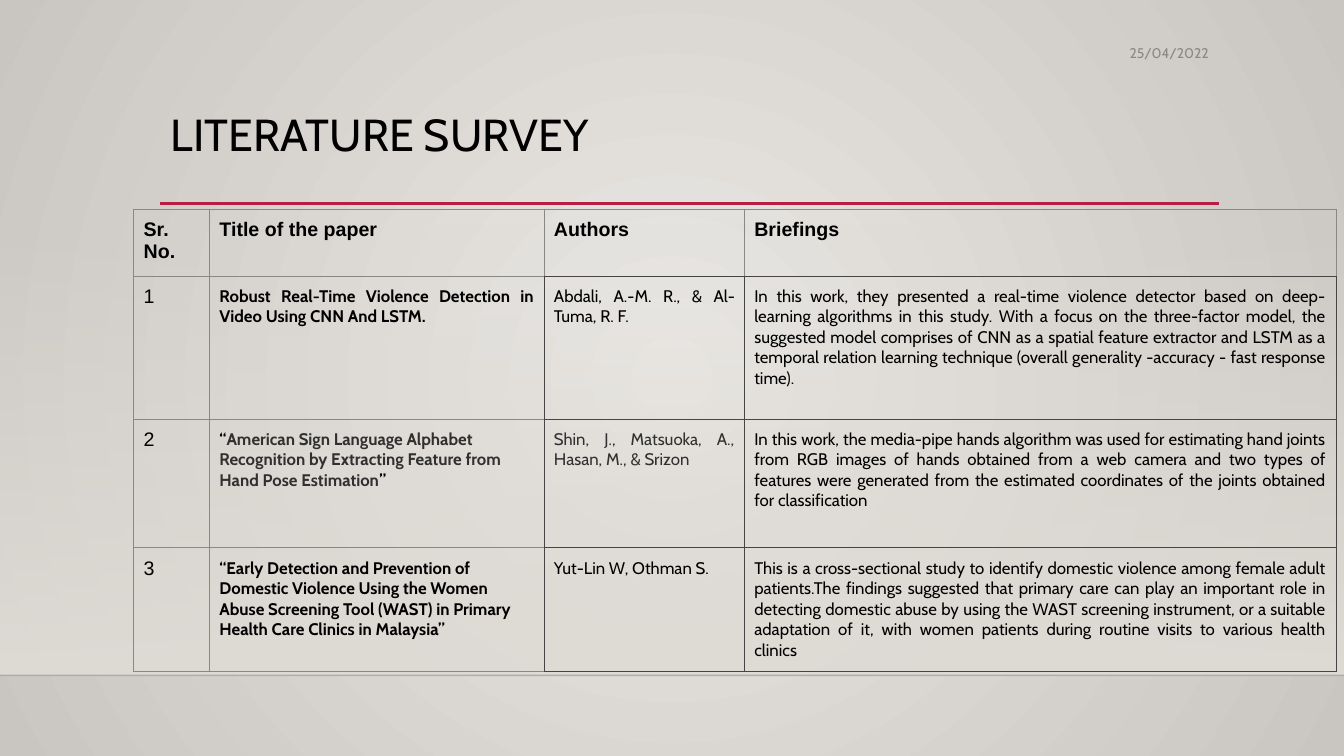
from lxml.etree import SubElement
from pptx import Presentation
from pptx.dml.color import RGBColor
from pptx.enum.shapes import MSO_CONNECTOR as Connector, MSO_SHAPE as Shape
from pptx.enum.text import MSO_ANCHOR as Anchor, PP_ALIGN as Align
from pptx.oxml.ns import qn
from pptx.util import Cm, Pt

BLACK, CHARCOAL, GREY = "000000", "303030", "888888"
DARK_EDGE, LIGHT_EDGE = "454545", "888888"
WIDTH, HEIGHT, FLOOR = 33.87, 19.05, 17.02

HEADINGS = ["Sr. No.", "Title of the paper", "Authors", "Briefings"]
PAPERS = [
    (
        [("Robust Real-Time Violence Detection in Video Using CNN And LSTM.", BLACK)],
        [("Abdali, A.-M. R., & Al-Tuma, R. F.", BLACK)],
        [("In this work, they presented a real-time violence detector based on "
          "deep-learning algorithms in this study. With a focus on the three-factor "
          "model, the suggested model comprises of CNN as a spatial feature extractor "
          "and LSTM as a temporal relation learning technique (overall generality "
          "-accuracy - fast response time).", BLACK)],
    ),
    (
        [("“", BLACK),
         ("American Sign Language Alphabet Recognition by Extracting Feature from "
          "Hand Pose Estimation", CHARCOAL),
         ("”", BLACK)],
        [("Shin, J., Matsuoka, A., Hasan, M., & Srizon", CHARCOAL)],
        [("In this work, the media-pipe hands algorithm was used for estimating hand "
          "joints from RGB images of hands obtained from a web camera and two types of "
          "features were generated from the estimated coordinates of the joints "
          "obtained for classification", BLACK)],
    ),
    (
        [("“Early Detection and Prevention of Domestic Violence Using the Women Abuse "
          "Screening Tool (WAST) in Primary Health Care Clinics in Malaysia”", BLACK)],
        [("Yut-Lin W, Othman S.", BLACK)],
        [("This is a cross-sectional study to identify domestic violence among female "
          "adult patients.The findings suggested that primary care can play an "
          "important role in detecting domestic abuse by using the WAST screening "
          "instrument, or a suitable adaptation of it, with women patients during "
          "routine visits to various health clinics", BLACK)],
    ),
]


def color(value):
    return RGBColor.from_string(value)


def apply(target, values):
    for name, value in values.items():
        setattr(target, name, value)


class SlideBuilder:
    body_font = "Cabin"
    table_font = "Arial"
    padding = 0.25

    def __init__(self, page):
        self.page = page

    def set_alpha(self, element, percent):
        SubElement(element, qn("a:alpha"), val=str(percent * 1000))

    def fade(self, fill, owner, stops, radial=False):
        fill.gradient()
        gradient = owner.find(".//" + qn("a:gradFill"))
        for child in list(gradient):
            gradient.remove(child)
        stop_list = SubElement(gradient, qn("a:gsLst"))
        for position, value, alpha in stops:
            stop = SubElement(stop_list, qn("a:gs"), pos=str(position * 1000))
            tone = SubElement(stop, qn("a:srgbClr"), val=value)
            if alpha < 100:
                self.set_alpha(tone, alpha)
        if radial:
            circle = SubElement(gradient, qn("a:path"), path="circle")
            center = dict.fromkeys("ltrb", "50000")
            SubElement(circle, qn("a:fillToRect"), **center)
        else:
            SubElement(gradient, qn("a:lin"), ang="5400000", scaled="0")

    def backdrop(self, stops):
        self.fade(self.page.background.fill, self.page._element, stops, radial=True)

    def panel(self, left, top, width, height, stops):
        box = self.page.shapes.add_shape(
            Shape.RECTANGLE, Cm(left), Cm(top), Cm(width), Cm(height))
        box.shadow.inherit = False
        box.line.fill.background()
        self.fade(box.fill, box._element.spPr, stops)

    def rule(self, left, right, top, value, weight, alpha=100):
        line = self.page.shapes.add_connector(
            Connector.STRAIGHT, Cm(left), Cm(top), Cm(right), Cm(top))
        line.line.color.rgb = color(value)
        line.line.width = Pt(weight)
        properties = line._element.spPr
        if alpha < 100:
            self.set_alpha(properties.find(".//" + qn("a:srgbClr")), alpha)
        SubElement(properties, qn("a:effectLst"))

    def add_spans(self, para, pieces, font, size, bold=False):
        for text, value in pieces:
            span = para.add_run()
            span.text = text
            apply(span.font, {"name": font, "size": Pt(size), "bold": bold})
            span.font.color.rgb = color(value)

    def text(self, left, top, width, height, pieces, size, frame, paragraph):
        box = self.page.shapes.add_textbox(Cm(left), Cm(top), Cm(width), Cm(height))
        apply(box.text_frame, {"word_wrap": True, **frame})
        para = box.text_frame.paragraphs[0]
        apply(para, paragraph)
        self.add_spans(para, pieces, self.body_font, size)

    def table(self, left, top, columns, rows):
        frame = self.page.shapes.add_table(
            len(rows), len(columns), Cm(left), Cm(top), Cm(sum(columns)), Cm(sum(rows)))
        grid = frame.table
        apply(grid, {"first_row": False, "horz_banding": False})
        for column, width in zip(grid.columns, columns):
            column.width = Cm(width)
        for row, height in zip(grid.rows, rows):
            row.height = Cm(height)
        return grid

    def cell(self, cell, pieces, edges, font, size, bold=False, align=Align.LEFT):
        sides = ("margin_left", "margin_right", "margin_top", "margin_bottom")
        apply(cell, dict.fromkeys(sides, Cm(self.padding)))
        cell.fill.background()
        properties = cell._tc.get_or_add_tcPr()
        for index, (side, value) in enumerate(zip("LRTB", edges)):
            edge = SubElement(properties, qn("a:ln" + side), w=str(Pt(0.75)))
            solid = SubElement(edge, qn("a:solidFill"))
            SubElement(solid, qn("a:srgbClr"), val=value)
            properties.insert(index, edge)
        para = cell.text_frame.paragraphs[0]
        para.alignment = align
        self.add_spans(para, pieces, font, size, bold)


def cell_edges(row, column):
    dark_row, dark_column = row > 0, column > 1
    flags = (
        dark_row and dark_column,
        dark_row and column > 0,
        dark_row and dark_column,
        dark_column,
    )
    return [DARK_EDGE if flag else LIGHT_EDGE for flag in flags]


def fill_survey(slide, grid):
    for column, heading in enumerate(HEADINGS):
        slide.cell(grid.cell(0, column), [(heading, BLACK)], cell_edges(0, column),
                   slide.table_font, 14, bold=True)
    for row, paper in enumerate(PAPERS, 1):
        slide.cell(grid.cell(row, 0), [(str(row), BLACK)], cell_edges(row, 0),
                   slide.table_font, 14)
        for column, pieces in enumerate(paper, 1):
            is_title = column == 1
            align = Align.LEFT if is_title and row > 1 else Align.JUSTIFY
            slide.cell(grid.cell(row, column), pieces, cell_edges(row, column),
                       slide.body_font, 12, is_title, align)


def main():
    deck = Presentation()
    apply(deck, {"slide_width": Cm(WIDTH), "slide_height": Cm(HEIGHT)})
    slide = SlideBuilder(deck.slides.add_slide(deck.slide_layouts[6]))
    slide.backdrop([(0, "EBE9E6", 100), (100, "C9C5C0", 100)])
    slide.panel(0, 5.61, WIDTH, FLOOR - 5.61, [(0, "DFDBD5", 0), (100, "DFDBD5", 100)])
    slide.rule(0, WIDTH, FLOOR, "000001", 1, alpha=20)
    slide.rule(4.04, 30.73, 5.13, "B71E42", 2.5)
    slide.text(4.06, 2.72, 26.7, 2.95, [("LITERATURE SURVEY", BLACK)], 32,
               {"vertical_anchor": Anchor.TOP}, {"line_spacing": 0.9})
    grid = slide.table(3.37, 5.27, [1.91, 8.43, 5.05, 14.91], [1.64, 3.6, 3.25, 3.1])
    fill_survey(slide, grid)
    slide.text(20.98, 0.91, 9.73, 0.86, [("25/04/2022", GREY)], 10,
               {"vertical_anchor": Anchor.MIDDLE}, {"alignment": Align.RIGHT})
    deck.save("out.pptx")


if __name__ == "__main__":
    main()
